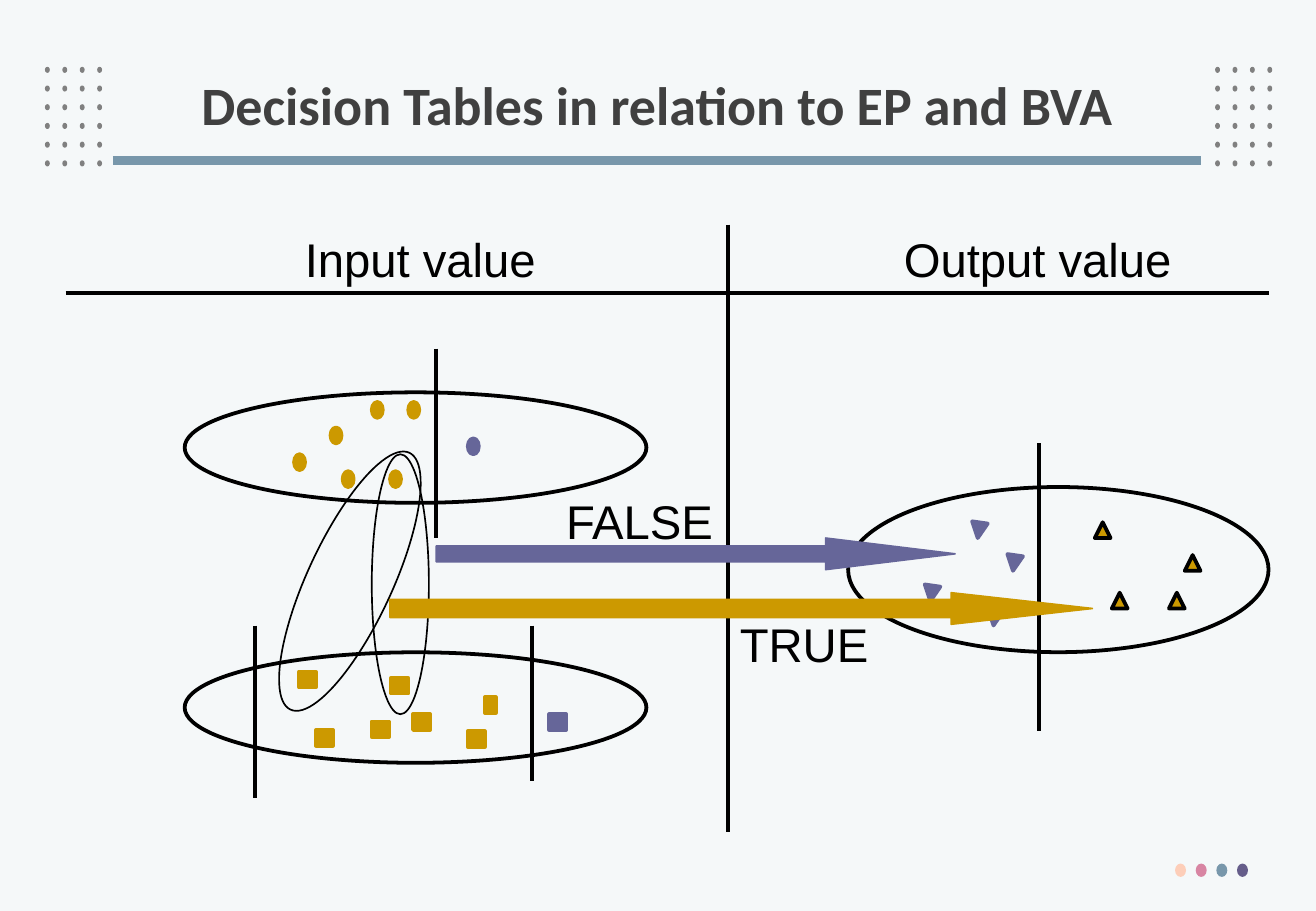
import pptx
import pptx.dml.color
import pptx.enum.shapes
import pptx.enum.text
import pptx.oxml
import pptx.util

Inches = pptx.util.Inches
Pt = pptx.util.Pt
SHAPE = pptx.enum.shapes.MSO_SHAPE

BLACK = "000000"
GOLD = "CC9900"
PURPLE = "666699"
GREY = "808080"
BLUE = "7897AB"


def color(value):
    return pptx.dml.color.RGBColor.from_string(value)


def add_shape(slide, kind, left, top, width, height, fill=None, line=None,
              weight=2.25, rotation=0, adjustments=()):
    shape = slide.shapes.add_shape(
        kind, Inches(left), Inches(top), Inches(width), Inches(height))
    shape.shadow.inherit = False
    shape.rotation = rotation
    for index, value in enumerate(adjustments):
        shape.adjustments[index] = value
    if fill:
        shape.fill.solid()
        shape.fill.fore_color.rgb = color(fill)
    else:
        shape.fill.background()
    if line:
        shape.line.color.rgb = color(line)
        shape.line.width = Pt(weight)
    else:
        shape.line.fill.background()
    return shape


def add_line(slide, left, top, right, bottom, line=BLACK, weight=2.25):
    connector = slide.shapes.add_connector(
        pptx.enum.shapes.MSO_CONNECTOR.STRAIGHT,
        Inches(left), Inches(top), Inches(right), Inches(bottom))
    connector.line.color.rgb = color(line)
    connector.line.width = Pt(weight)
    connector._element.spPr.append(pptx.oxml.parse_xml(
        '<a:effectLst xmlns:a="http://schemas.openxmlformats.org/drawingml/2006/main"/>'))


def write_text(frame, text, font="Arial", size=28, ink=BLACK, bold=False,
               align=pptx.enum.text.PP_ALIGN.LEFT, spacing=1.0):
    paragraph = frame.paragraphs[0]
    paragraph.alignment = align
    paragraph.line_spacing = spacing
    run = paragraph.add_run()
    run.text = text
    run.font.name = font
    run.font.size = Pt(size)
    run.font.bold = bold
    run.font.color.rgb = color(ink)


def add_label(slide, text, left, top, width):
    box = slide.shapes.add_textbox(
        Inches(left), Inches(top), Inches(width), Inches(0.57))
    box.text_frame.word_wrap = False
    box.text_frame.auto_size = pptx.enum.text.MSO_AUTO_SIZE.SHAPE_TO_FIT_TEXT
    write_text(box.text_frame, text)


def add_markers(slide, kind, positions, width, height, fill, line=None, rotation=0):
    for left, top in positions:
        add_shape(slide, kind, left, top, width, height, fill, line or fill,
                  rotation=rotation)


def add_decoration(slide):
    for grid_left in (0.37, 10):
        for row in range(6):
            for column in range(4):
                add_shape(slide, SHAPE.OVAL, grid_left + column * 0.43 / 3,
                          0.55 + row * 0.77 / 5, 0.04, 0.05, GREY)
    add_line(slide, 0.93, 1.32, 9.88, 1.32, BLUE, 5.25)
    for index, fill in enumerate(("FDCEB9", "D885A3", BLUE, "655D8A")):
        add_shape(slide, SHAPE.OVAL, 9.67 + index * 0.17, 7.11, 0.09, 0.11, fill)


def set_title(slide, text):
    title = slide.shapes.title
    title.left, title.top = Inches(0.74), Inches(0.4)
    title.width, title.height = Inches(9.34), Inches(0.98)
    frame = title.text_frame
    frame.word_wrap = True
    frame.auto_size = pptx.enum.text.MSO_AUTO_SIZE.NONE
    frame.vertical_anchor = pptx.enum.text.MSO_ANCHOR.MIDDLE
    write_text(frame, text, font="Calibri", size=32, ink="404040", bold=True,
               align=pptx.enum.text.PP_ALIGN.CENTER, spacing=0.9)


def add_output_set(slide):
    false_outputs = [(7.6, 4.82), (8.12, 5.02), (8.28, 4.57), (7.99, 4.3)]
    true_outputs = [(9.15, 4.88), (9.62, 4.88), (9.75, 4.57), (9.01, 4.3)]
    add_markers(slide, SHAPE.ISOSCELES_TRIANGLE, false_outputs, 0.13, 0.13,
                PURPLE, rotation=188)
    add_shape(slide, SHAPE.OVAL, 6.98, 4.01, 3.46, 1.36, line=BLACK)
    add_line(slide, 8.55, 3.65, 8.55, 6.02)
    add_markers(slide, SHAPE.ISOSCELES_TRIANGLE, true_outputs, 0.13, 0.13, GOLD, BLACK)


def add_circle_inputs(slide):
    valid = [(3.06, 3.31), (2.42, 3.74), (3.36, 3.31), (2.82, 3.88),
             (2.72, 3.52), (3.21, 3.88)]
    add_shape(slide, SHAPE.OVAL, 1.52, 3.23, 3.8, 0.91, line=BLACK)
    add_line(slide, 3.59, 2.87, 3.59, 4.43)
    add_markers(slide, SHAPE.OVAL, valid, 0.09, 0.13, GOLD)
    add_markers(slide, SHAPE.OVAL, [(3.85, 3.61)], 0.09, 0.13, PURPLE)


def add_square_inputs(slide):
    valid = [(2.46, 5.53), (3.06, 5.94), (3.85, 6.02), (3.4, 5.88),
             (2.6, 6.01), (3.22, 5.58)]
    add_shape(slide, SHAPE.OVAL, 1.52, 5.37, 3.8, 0.91, line=BLACK)
    add_line(slide, 4.38, 5.15, 4.38, 6.43)
    add_line(slide, 2.1, 5.15, 2.1, 6.57)
    add_markers(slide, SHAPE.RECTANGLE, valid, 0.14, 0.13, GOLD)
    add_markers(slide, SHAPE.RECTANGLE, [(3.99, 5.74)], 0.09, 0.13, GOLD)
    add_markers(slide, SHAPE.RECTANGLE, [(4.52, 5.88)], 0.14, 0.13, PURPLE)


def add_outcome_arrow(slide, left, top, width, fill, adjustments):
    add_shape(slide, SHAPE.RIGHT_ARROW, left, top, width, 0.26, fill, fill,
              weight=1, adjustments=adjustments)


def main():
    presentation = pptx.Presentation()
    presentation.slide_width = Inches(10.83)
    presentation.slide_height = Inches(7.5)
    slide = presentation.slides.add_slide(presentation.slide_layouts[5])
    slide.background.fill.solid()
    slide.background.fill.fore_color.rgb = color("F5F8F9")

    add_decoration(slide)
    set_title(slide, "Decision Tables in relation to EP and BVA")
    add_output_set(slide)
    add_line(slide, 5.99, 1.85, 5.99, 6.85)
    add_circle_inputs(slide)
    add_label(slide, "Input value", 2.41, 1.85, 2.11)
    add_label(slide, "Output value", 7.34, 1.85, 2.41)
    add_square_inputs(slide)
    add_shape(slide, SHAPE.OVAL, 3.06, 3.74, 0.47, 2.14, line=BLACK, weight=1)
    add_outcome_arrow(slide, 3.59, 4.43, 4.27, PURPLE, (0.5, 4.1))
    add_label(slide, "FALSE", 4.56, 4, 1.43)
    add_shape(slide, SHAPE.OVAL, 2.53, 3.62, 0.7, 2.33, line=BLACK, weight=1,
              rotation=24.8)
    add_line(slide, 0.54, 2.41, 10.44, 2.41)
    add_outcome_arrow(slide, 3.21, 4.88, 5.78, GOLD, (0.57, 4.47))
    add_label(slide, "TRUE", 5.99, 5.02, 1.26)

    presentation.save("out.pptx")


if __name__ == "__main__":
    main()
